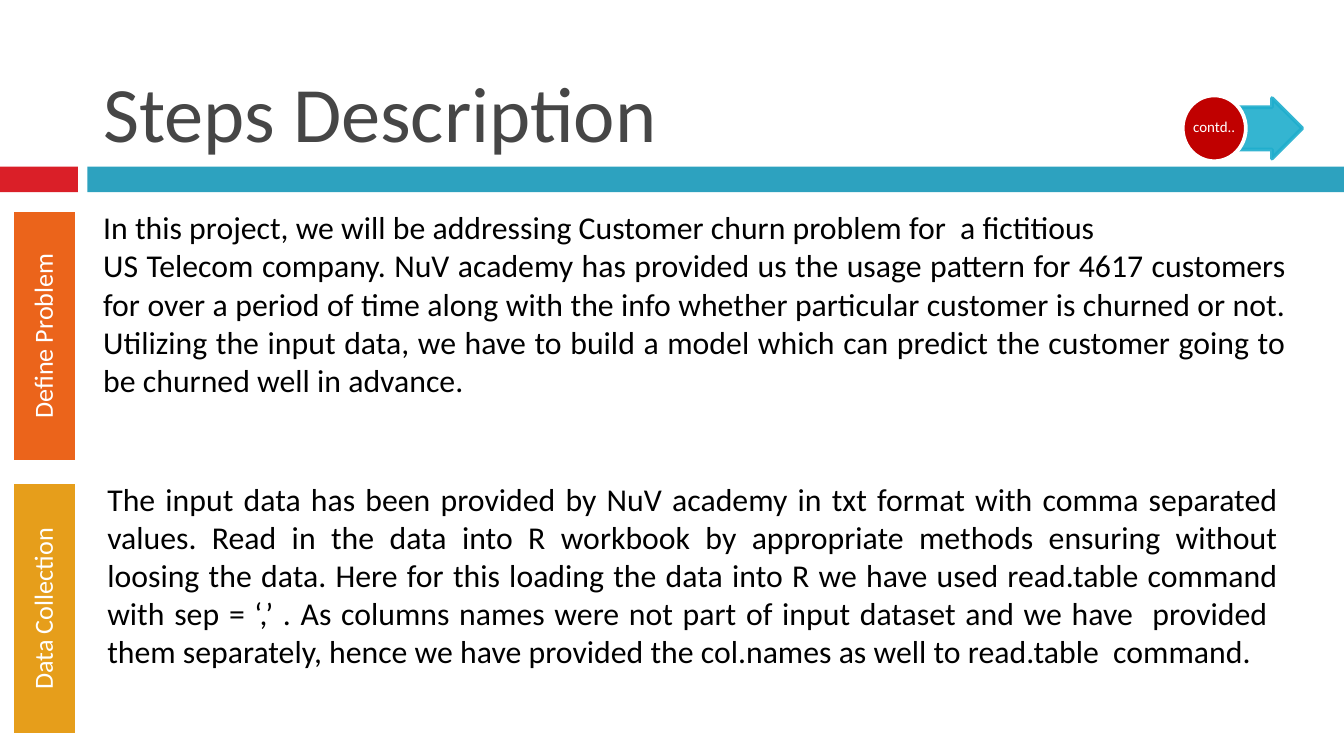
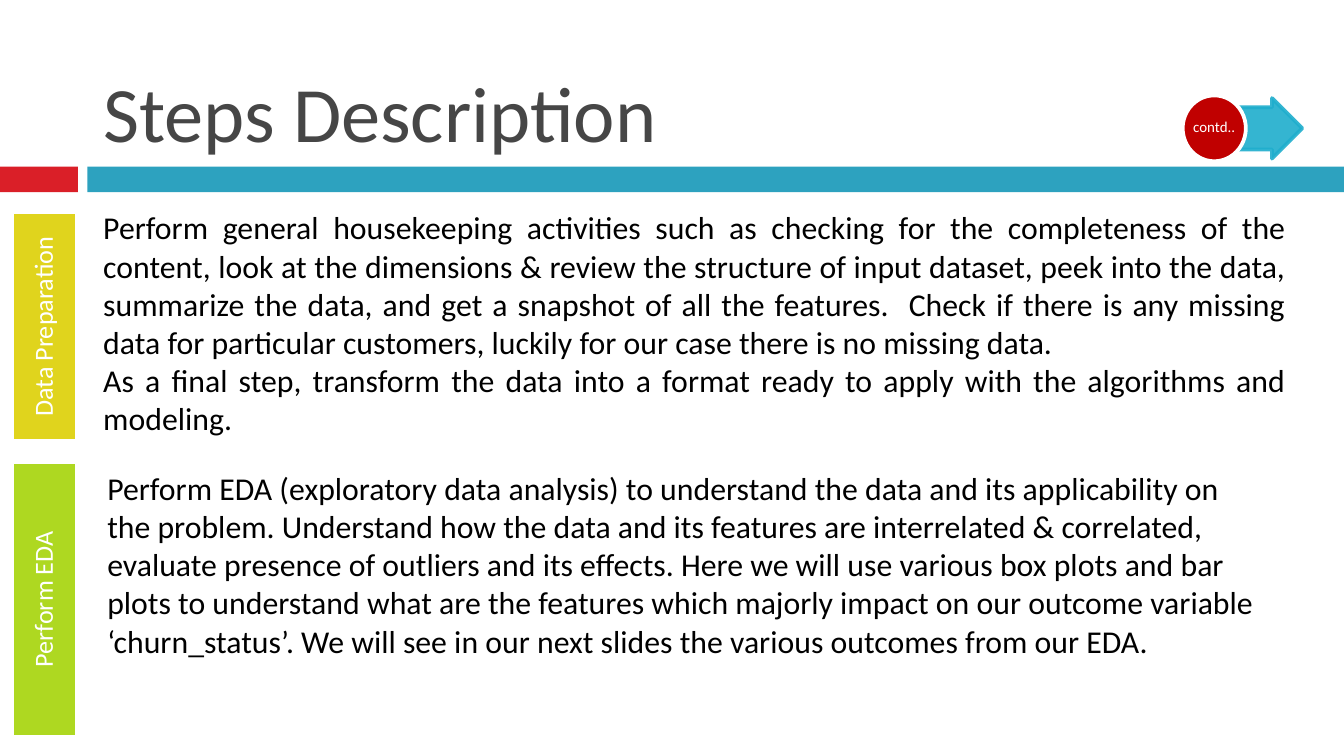
import pptx
import pptx.util
import pptx.dml.color
import pptx.enum.shapes
import pptx.enum.text
import pptx.oxml.ns
from lxml import etree

Inches, Pt = pptx.util.Inches, pptx.util.Pt
SHAPE = pptx.enum.shapes.MSO_SHAPE
ALIGN = pptx.enum.text.PP_ALIGN
ANCHOR = pptx.enum.text.MSO_ANCHOR
FIT = pptx.enum.text.MSO_AUTO_SIZE

WIDE = 10
HIGH = WIDE * 9 / 16
FONT = "Calibri"
WHITE, BLACK, GREY = "FFFFFF", "000000", "464646"
RED, TEAL, SKY, DARK = "DA1F28", "2DA2BF", "1FAECD", "C00000"
TITLE = "Steps Description"
MORE = "contd.."
EDGE = 0.67           # left edge of title and first body
MID, THICK = 0.33, 0.48   # centre line and width of the side tabs

# Each step: label, colour, tab (centre, length), body box, alignment, paragraphs
SLIDES = [
    [
        ("Define Problem", "EB641B", (2.5, 1.88), (EDGE, 1.5, 9, 1.53), ALIGN.JUSTIFY, [
            "In this project, we will be addressing Customer churn problem for  a fictitious",
            "US Telecom company. NuV academy has provided us the usage pattern for 4617 "
            "customers for over a period of time along with the info whether particular "
            "customer is churned or not. ",
            "Utilizing the input data, we have to build a model which can predict the "
            "customer going to be churned well in advance.",
        ]),
        ("Data Collection", "E69E1B", (4.53, 1.88), (0.7, 3.52, 8.91, 1.83), ALIGN.JUSTIFY, [
            "The input data has been provided by NuV academy in txt format with comma "
            "separated values. Read in the data into R workbook by appropriate methods "
            "ensuring without loosing the data. Here for this loading the data into R we "
            "have used read.table command with sep = ‘,’ . As columns names were not part "
            "of input dataset and we have  provided  them separately, hence we have "
            "provided the col.names as well to read.table  command.",
        ]),
    ],
    [
        ("Data Preparation", "E0D41D", (2.43, 1.7), (EDGE, 1.5, 9, 1.82), ALIGN.JUSTIFY, [
            "Perform general housekeeping activities such as checking for the completeness "
            "of the content, look at the dimensions & review the structure of input "
            "dataset, peek into the data, summarize the data, and get a snapshot of all "
            "the features.  Check if there is any missing data for particular customers, "
            "luckily for our case there is no missing data.",
            "As a final step, transform the data into a format ready to apply with the "
            "algorithms and modeling.",
        ]),
        ("Perform EDA", "AED821", (4.46, 2.04), (0.7, 3.44, 8.83, 1.53), ALIGN.LEFT, [
            "Perform EDA (exploratory data analysis) to understand the data and its "
            "applicability on the problem. Understand how the data and its features are "
            "interrelated & correlated, evaluate presence of outliers and its effects. "
            "Here we will use various box plots and bar plots to understand what are the "
            "features which majorly impact on our outcome variable ‘churn_status’. We will "
            "see in our next slides the various outcomes from our EDA.",
        ]),
    ],
]


def rgb(code):
    return pptx.dml.color.RGBColor.from_string(code)


def box(page, kind, at, fill, line=None):
    shape = page.shapes.add_shape(kind, *map(Inches, at))
    shape.shadow.inherit = False
    shape.fill.solid()
    shape.fill.fore_color.rgb = rgb(fill)
    if line:
        shape.line.color.rgb = rgb(line)
        shape.line.width = Pt(2)
    else:
        shape.line.fill.background()
    return shape


def write(shape, paras, size, color, align, anchor=ANCHOR.TOP, inset=None, space=None):
    frame = shape.text_frame
    frame.text = "\n".join(paras)
    frame.word_wrap = True
    frame.auto_size = FIT.NONE
    frame.vertical_anchor = anchor
    if inset is not None:
        frame.margin_left = frame.margin_right = Inches(inset)
        frame.margin_top = frame.margin_bottom = Inches(inset)
    for para in frame.paragraphs:
        para.alignment = align
        if space:
            para.line_spacing = space
        for run in para.runs:
            run.font.name = FONT
            run.font.size = Pt(size)
            run.font.color.rgb = rgb(color)


def fade(shape, share):
    """Make the fill and line of a shape partly transparent."""
    tag = pptx.oxml.ns.qn("a:srgbClr")
    for color in shape.fill._xPr.iter(tag):
        etree.SubElement(color, pptx.oxml.ns.qn("a:alpha"), val=str(share * 1000))


def label(page, at, text, size, inset):
    area = page.shapes.add_textbox(*map(Inches, at))
    write(area, [text], size, WHITE, ALIGN.CENTER, ANCHOR.MIDDLE, inset, 0.9)


def frame(page):
    """Draw the bands, the title and the arrow that every slide shares."""
    box(page, SHAPE.RECTANGLE, (0, 1.24, 0.58, 0.19), RED)
    box(page, SHAPE.RECTANGLE, (0.65, 1.24, WIDE - 0.65, 0.19), TEAL)
    title = page.shapes.title
    title.left, title.top, title.width, title.height = map(Inches, (EDGE, 0.13, 8.92, 1.1))
    write(title, [TITLE], 42, GREY, ALIGN.LEFT, ANCHOR.BOTTOM)
    arrow = box(page, SHAPE.RIGHT_ARROW, (9.03, 0.73, 0.66, 0.45), SKY, SKY)
    arrow.adjustments[0], arrow.adjustments[1] = 0.7, 0.5
    fade(arrow, 90)
    box(page, SHAPE.OVAL, (8.8, 0.71, 0.47, 0.49), DARK, WHITE)
    label(page, (8.87, 0.78, 0.33, 0.34), MORE, 8, 0)


def step(page, name, color, tab, area, align, paras):
    mid, size = tab
    side = box(page, SHAPE.RECTANGLE,
               (MID - size / 2, mid - THICK / 2, size, THICK), color, WHITE)
    side.rotation = 270
    write(side, [name], 14, WHITE, ALIGN.CENTER, ANCHOR.MIDDLE, 0.11, 0.9)
    body = page.shapes.add_textbox(*map(Inches, area))
    write(body, paras, 17, BLACK, align)


def main():
    deck = pptx.Presentation()
    deck.slide_width, deck.slide_height = Inches(WIDE), Inches(HIGH)
    for steps in SLIDES:
        page = deck.slides.add_slide(deck.slide_layouts[5])
        frame(page)
        for item in steps:
            step(page, *item)
    deck.save("out.pptx")


if __name__ == "__main__":
    main()
